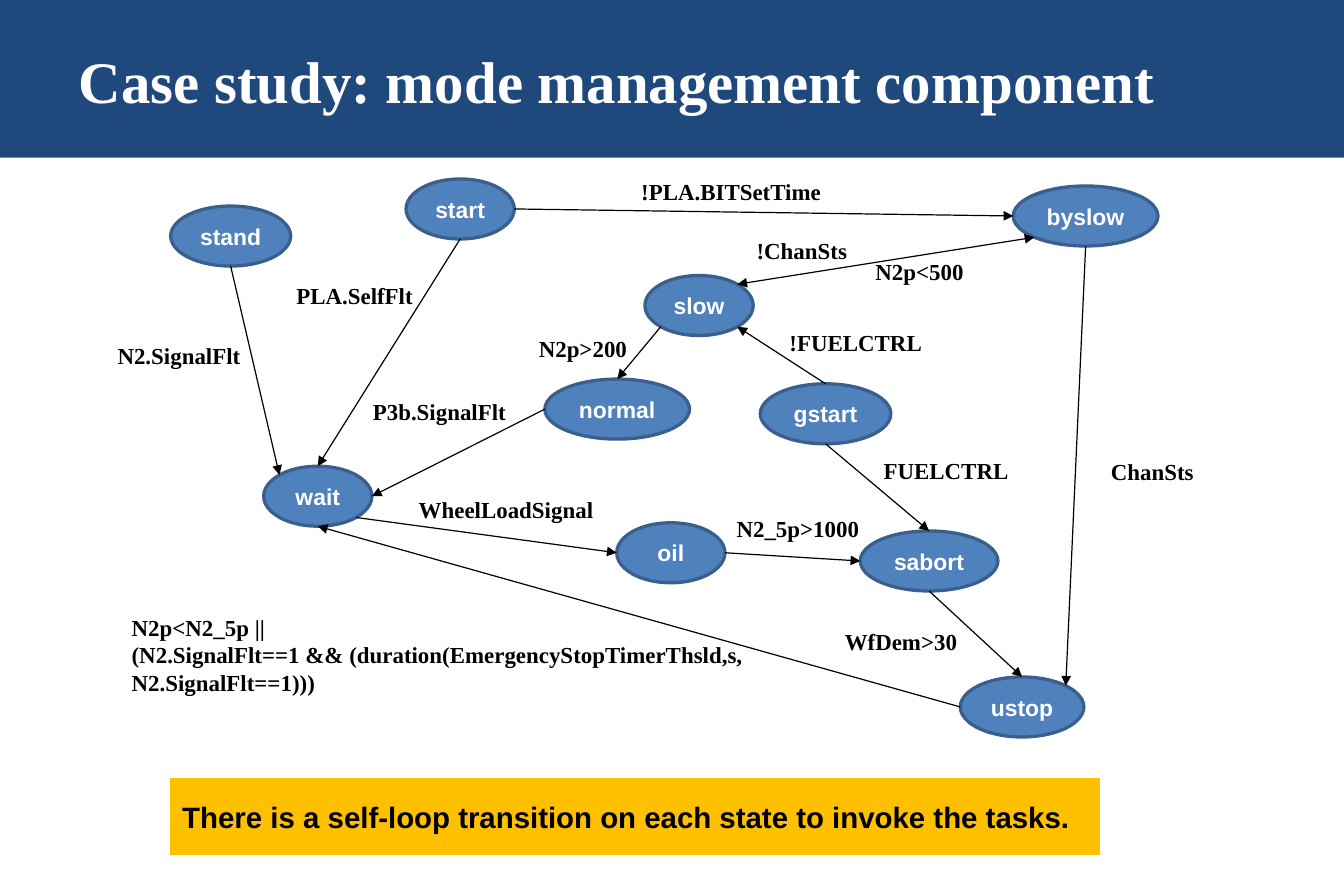
from math import sqrt

from lxml import etree
from pptx import Presentation
from pptx import util as u
from pptx.dml.color import RGBColor
from pptx.enum import shapes, text
from pptx.oxml.ns import qn

WIDTH, HEIGHT = 11.42, 7.5
STATE_HEIGHT = 0.51
SERIF, SANS = "Times New Roman", "Arial"


def paint(fmt, color):
    """Give a fill, or the fill of a line, one solid hex colour."""
    fmt.solid()
    fmt.fore_color.rgb = RGBColor.from_string(color)


def write(shape, lines, font, size, color, align=text.PP_ALIGN.LEFT):
    """Fill a shape with bold paragraphs, one for each line."""
    frame = shape.text_frame
    frame.text = "\n".join(lines)
    for para in frame.paragraphs:
        para.alignment = align
        para.font.name, para.font.size, para.font.bold = font, u.Pt(size), True
        paint(para.font.fill, color)


deck = Presentation()
deck.slide_width, deck.slide_height = u.Inches(WIDTH), u.Inches(HEIGHT)
page = deck.slides.add_slide(deck.slide_layouts[6])

# Title band and the note at the foot
bars = [
    (0, 0, WIDTH, 1.34, "1F497D", None),
    (1.45, 6.61, 7.89, 0.65, "FFC000",
     "There is a self-loop transition on each state to invoke the tasks."),
]
for left, top, width, height, color, note in bars:
    bar = page.shapes.add_shape(shapes.MSO_SHAPE.RECTANGLE, *map(u.Inches, (left, top, width, height)))
    bar.shadow.inherit = False
    paint(bar.fill, color)
    bar.line.fill.background()
    if note:
        paint(bar.line.fill, color)
        bar.line.width = u.Pt(0.75)
        write(bar, [note], SANS, 18, "000000")

title = page.shapes.add_textbox(*map(u.Inches, (0.57, 0.05, 0.9 * WIDTH, 1.25)))
title.text_frame.word_wrap = True
title.text_frame.vertical_anchor = text.MSO_ANCHOR.MIDDLE
write(title, ["Case study: mode management component"], SERIF, 36, "FFFFFF")

# States: left, top, width
states = {
    "start": (3.45, 1.52, 0.92),
    "wait": (2.24, 3.96, 0.92),
    "byslow": (8.61, 1.58, 1.23),
    "stand": (1.45, 1.75, 1.02),
    "slow": (5.48, 2.34, 0.92),
    "normal": (4.63, 3.22, 1.23),
    "ustop": (8.16, 5.75, 1.05),
    "oil": (5.24, 4.44, 0.92),
    "sabort": (7.31, 4.51, 1.17),
    "gstart": (6.46, 3.26, 1.11),
}
for name, (left, top, width) in states.items():
    state = page.shapes.add_shape(shapes.MSO_SHAPE.OVAL, *map(u.Inches, (left, top, width, STATE_HEIGHT)))
    state.shadow.inherit = False
    paint(state.fill, "4F81BD")
    paint(state.line.fill, "3A5F8C")
    state.line.width = u.Pt(2)
    state.text_frame.word_wrap = False
    write(state, [name], SANS, 14, "FFFFFF", text.PP_ALIGN.CENTER)

# Transitions run between compass points on the rims of the states
diagonal = 1 / sqrt(2)
compass = {
    "N": (0, -1), "S": (0, 1), "W": (-1, 0), "E": (1, 0),
    "NW": (-diagonal, -diagonal), "NE": (diagonal, -diagonal),
    "SW": (-diagonal, diagonal), "SE": (diagonal, diagonal),
}
transitions = [
    ("start", "S", "wait", "N"),
    ("start", "E", "byslow", "W"),
    ("stand", "S", "wait", "NW"),
    ("slow", "NE", "byslow", "SW"),
    ("slow", "SW", "normal", "N"),
    ("byslow", "S", "ustop", "NE"),
    ("wait", "SE", "oil", "W"),
    ("oil", "E", "sabort", "W"),
    ("sabort", "S", "ustop", "N"),
    ("gstart", "N", "slow", "SE"),
    ("gstart", "S", "sabort", "N"),
    ("normal", "W", "wait", "E"),
    ("ustop", "W", "wait", "S"),
]
for source, source_side, target, target_side in transitions:
    ends = []
    for name, side in ((source, source_side), (target, target_side)):
        left, top, width = states[name]
        across, down = compass[side]
        ends += [left + width / 2 * (1 + across), top + STATE_HEIGHT / 2 * (1 + down)]
    arrow = page.shapes.add_connector(shapes.MSO_CONNECTOR.STRAIGHT, *map(u.Inches, ends))
    paint(arrow.line.fill, "000000")
    arrow.line.width = u.Pt(0.75)
    two_way = (source, target) == ("slow", "byslow")
    for tag in ("a:headEnd", "a:tailEnd") if two_way else ("a:tailEnd",):
        etree.SubElement(arrow.line._get_or_add_ln(), qn(tag), type="triangle")
    etree.SubElement(arrow._element.spPr, qn("a:effectLst"))

# Conditions: left, top, width, wording
conditions = [
    (2.42, 2.34, 1.2, "PLA.SelfFlt"),
    (5.35, 1.46, 1.74, "!PLA.BITSetTime"),
    (0.9, 2.85, 1.25, "N2.SignalFlt"),
    (7.34, 2.14, 1.01, "N2p<500"),
    (4.48, 2.79, 0.96, "N2p>200"),
    (9.34, 3.84, 0.91, "ChanSts"),
    (6.33, 1.96, 0.98, "!ChanSts"),
    (3.46, 4.16, 1.7, "WheelLoadSignal"),
    (6.16, 4.32, 1.25, "N2_5p>1000"),
    (7.08, 5.28, 1.16, "WfDem>30"),
    (6.61, 2.74, 1.34, "!FUELCTRL"),
    (7.41, 3.83, 1.27, "FUELCTRL"),
    (3.07, 3.33, 1.34, "P3b.SignalFlt"),
    (1.02, 5.16, 5.45, "N2p<N2_5p ||",
     "(N2.SignalFlt==1 && (duration(EmergencyStopTimerThsld,s, N2.SignalFlt==1)))"),
]
for left, top, width, *lines in conditions:
    long = len(lines) > 1
    label = page.shapes.add_textbox(*map(u.Inches, (left, top, width, 0.81 if long else 0.34)))
    label.text_frame.word_wrap = long
    write(label, lines, SERIF, 14, "000000")

deck.save("out.pptx")
